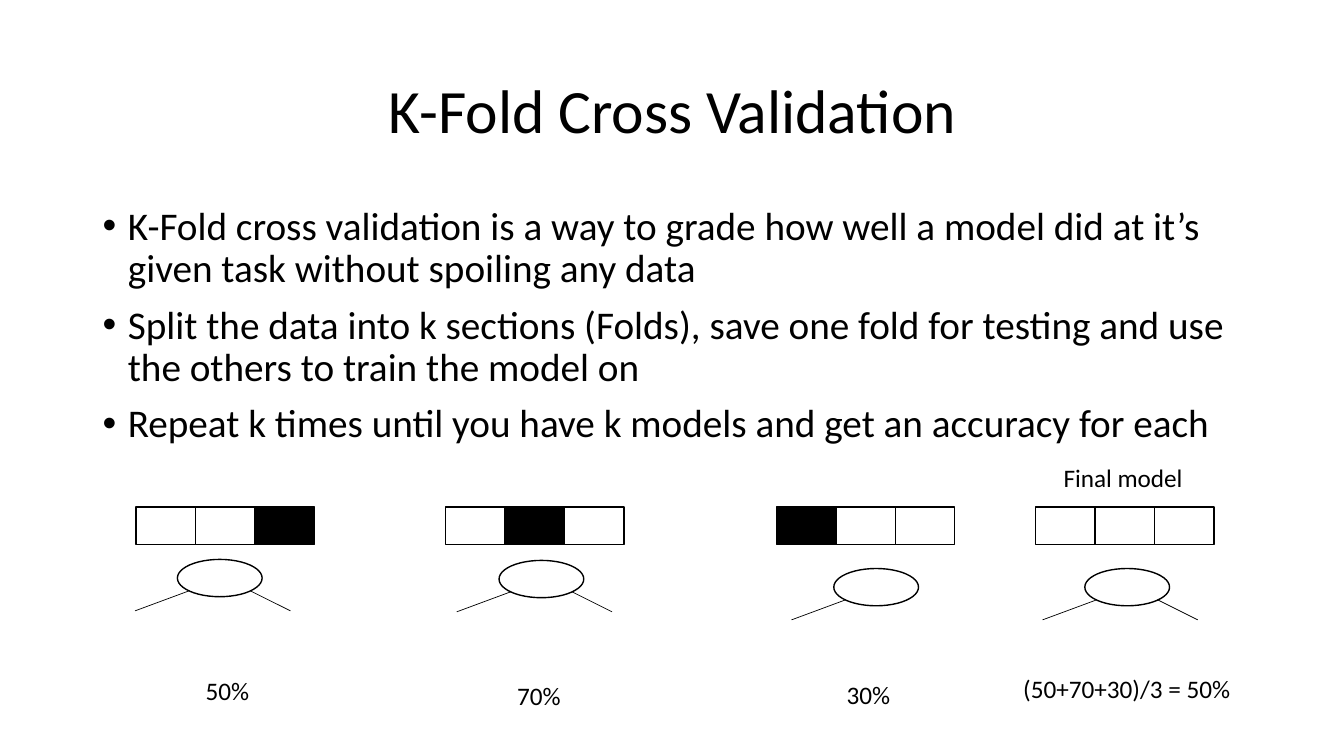
"""Build the K-Fold Cross Validation slide."""
from pptx import Presentation
from pptx.dml.color import RGBColor
from pptx.enum.shapes import MSO_CONNECTOR, MSO_SHAPE
from pptx.enum.text import MSO_ANCHOR, PP_ALIGN
from pptx.oxml.ns import qn
from pptx.util import Inches, Pt
from lxml.etree import SubElement

TITLE = "K-Fold Cross Validation"
POINTS = [
    "K-Fold cross validation is a way to grade how well a model did at it’s given task without spoiling any data",
    "Split the data into k sections (Folds), save one fold for testing and use the others to train the model on",
    "Repeat k times until you have k models and get an accuracy for each",
]
MODELS = [
    {"left": 1.35, "test": 2, "node": (1.76, 5.55), "legs": 2, "score": ("50%", 1.94, 6.65, 0.64)},
    {"left": 4.42, "test": 1, "node": (4.95, 5.56), "legs": 2, "score": ("70%", 5.03, 6.7, 0.64)},
    {"left": 7.7, "test": 0, "node": (8.27, 5.64), "legs": 1, "score": ("30%", 8.3, 6.69, 0.64)},
    {"left": 10.27, "test": None, "node": (10.76, 5.64), "legs": 2,
     "score": ("(50+70+30)/3 = 50%", 10.05, 6.63, 2.28)},
]
FINAL = ("Final model", 10.45, 4.54, 1.4)
FOLDS, FOLD_W, FOLD_TOP = 3, 0.59, 5.03
NODE_W, HIGH = 0.84, 0.37
LEGS = [(0.12, -0.42), (0.72, 1.12)]
LEG_TOP, LEG_END = 0.31, 0.51
THEME = {
    "font": "Calibri", "ink": RGBColor(0, 0, 0), "paper": RGBColor(255, 255, 255),
    "title": 44, "body": 28, "label": 18, "edge": 1, "leg": 0.5,
}

deck = Presentation()
deck.slide_width, deck.slide_height = Inches(13.33), Inches(7.5)
slide = deck.slides.add_slide(deck.slide_layouts[6])


def write(lines, left, top, width, height=0.4, size="label", wrap=False,
          align=PP_ALIGN.LEFT, anchor=MSO_ANCHOR.TOP, space=1.0, gap=0, bullet=None):
    box = slide.shapes.add_textbox(Inches(left), Inches(top), Inches(width), Inches(height))
    frame = box.text_frame
    frame.word_wrap, frame.vertical_anchor = wrap, anchor
    for i, line in enumerate(lines):
        para = frame.add_paragraph() if i else frame.paragraphs[0]
        para.text, para.alignment, para.line_spacing = line, align, space
        para.space_before = Pt(gap if i else 0)
        if bullet:
            props = para._p.get_or_add_pPr()
            props.set("marL", str(Inches(0.25)))
            props.set("indent", str(Inches(-0.25)))
            SubElement(props, qn("a:buFont")).set("typeface", "Arial")
            SubElement(props, qn("a:buChar")).set("char", bullet)
        para.font.name, para.font.size = THEME["font"], Pt(THEME[size])
        para.font.color.rgb = THEME["ink"]


def draw(kind, left, top, width, fill):
    shape = slide.shapes.add_shape(kind, Inches(left), Inches(top), Inches(width), Inches(HIGH))
    shape.shadow.inherit = False
    shape.fill.solid()
    shape.fill.fore_color.rgb = THEME[fill]
    shape.line.color.rgb, shape.line.width = THEME["ink"], Pt(THEME["edge"])


def link(x1, y1, x2, y2):
    line = slide.shapes.add_connector(
        MSO_CONNECTOR.STRAIGHT, Inches(x1), Inches(y1), Inches(x2), Inches(y2))
    line.line.color.rgb, line.line.width = THEME["ink"], Pt(THEME["leg"])
    SubElement(line._element.spPr, qn("a:effectLst"))


def plot(model):
    for i in range(FOLDS):
        fill = "ink" if i == model["test"] else "paper"
        draw(MSO_SHAPE.RECTANGLE, model["left"] + i * FOLD_W, FOLD_TOP, FOLD_W, fill)
    x, y = model["node"]
    draw(MSO_SHAPE.OVAL, x, y, NODE_W, "paper")
    for near, far in LEGS[:model["legs"]]:
        link(x + near, y + LEG_TOP, x + far, y + LEG_END)
    text, left, top, width = model["score"]
    write([text], left, top, width)


write([TITLE], 0.92, 0.4, 11.5, 1.45, size="title", wrap=True,
      align=PP_ALIGN.CENTER, anchor=MSO_ANCHOR.MIDDLE, space=0.9)
write(POINTS, 0.92, 2, 11.5, 4.76, size="body", wrap=True, space=0.9, gap=10, bullet="•")
for model in MODELS:
    plot(model)
write(FINAL[:1], *FINAL[1:])
deck.save("out.pptx")
